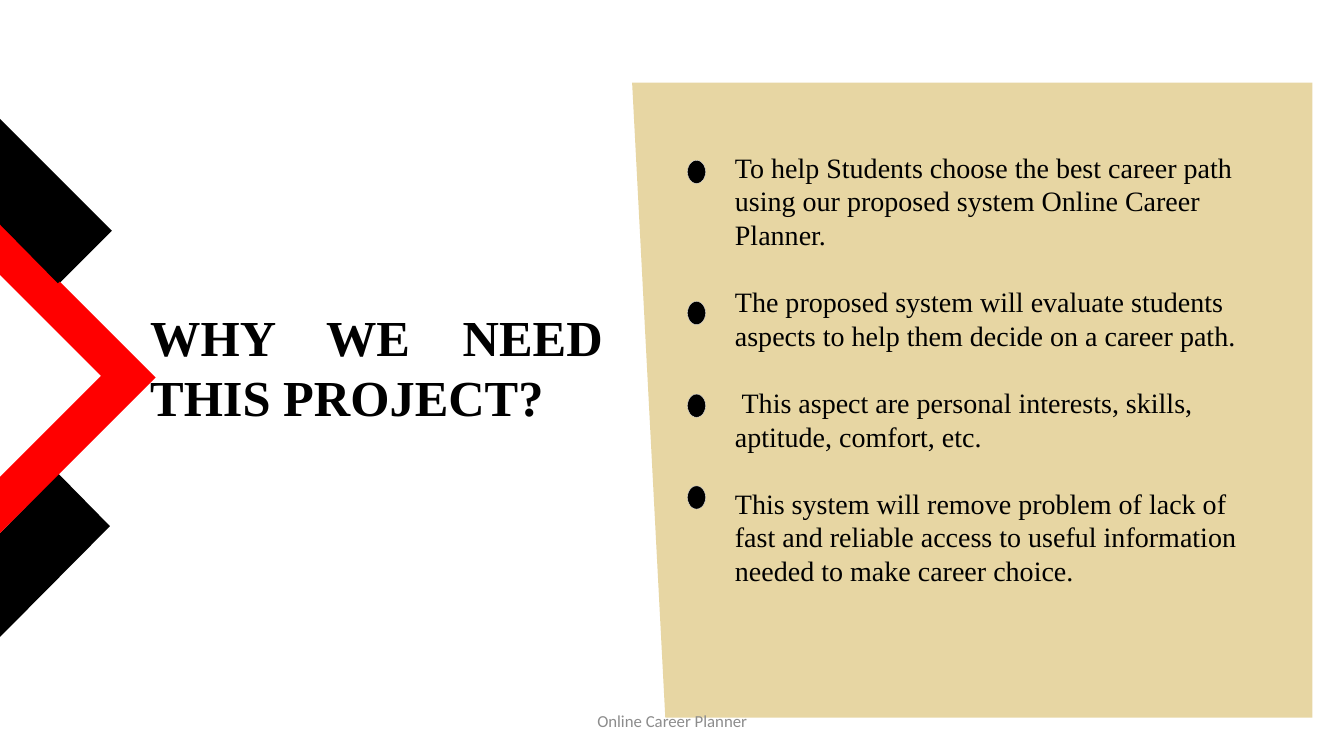
from dataclasses import dataclass

from lxml.etree import SubElement
from pptx import Presentation
from pptx.dml.color import RGBColor
from pptx.enum.shapes import MSO_SHAPE as Preset
from pptx.enum.text import MSO_ANCHOR as Anchor, MSO_AUTO_SIZE as AutoSize, PP_ALIGN as Align
from pptx.oxml.ns import qn
from pptx.util import Emu, Inches, Pt

WIDTH, HEIGHT = Inches(13.33), Inches(7.5)
SERIF = "Times New Roman"


@dataclass(frozen=True)
class Box:
    left: float
    top: float
    width: float
    height: float


@dataclass(frozen=True)
class Outline:
    points: tuple
    color: str
    opacity: int = 100


@dataclass(frozen=True)
class Reason:
    text: str
    marker_top: float
    indent: float = 0


UPPER_ARM = ((0, 15.73), (8.33, 30.53), (4.43, 37.47), (0, 29.47))
LOWER_ARM = ((4.35, 62.67), (8.18, 69.6), (-0.08, 84.4), (-0.08, 70.67))
PANEL = ((47.03, 10.93), (97.65, 10.93), (97.65, 94.93), (49.5, 94.93))
UPPER_ARM_FRONT = tuple((x - 0.12, y) for x, y in UPPER_ARM)

REASONS = (
    Reason("To help Students choose the best career path using our proposed "
           "system Online Career Planner.", 21.2),
    Reason("The proposed system will evaluate students aspects to help them "
           "decide on a career path.", 39.87),
    Reason("This aspect are personal interests, skills, aptitude, comfort, etc.", 52.13, 0.5),
    Reason("This system will remove problem of lack of fast and reliable access to "
           "useful information needed to make career choice.", 64.27),
)


def across(share: float) -> Emu:
    return Emu(round(WIDTH * share / 100))


def down(share: float) -> Emu:
    return Emu(round(HEIGHT * share / 100))


def frame(box: Box) -> tuple:
    return across(box.left), down(box.top), across(box.width), down(box.height)


def paint(target, color: str) -> None:
    target.solid()
    target.fore_color.rgb = RGBColor.from_string(color)


def draw_outline(slide, outline: Outline) -> None:
    corners = [(across(x), down(y)) for x, y in outline.points]
    builder = slide.shapes.build_freeform(*corners[0])
    builder.add_line_segments(corners[1:], close=True)
    piece = builder.convert_to_shape()
    piece.shadow.inherit = False
    paint(piece.fill, outline.color)
    piece.line.fill.background()
    if outline.opacity < 100:
        tint = piece.element.spPr.find(qn("a:solidFill"))[0]
        SubElement(tint, qn("a:alpha"), val=str(outline.opacity * 1000))


def draw_preset(slide, kind: Preset, box: Box, color: str, edge: str = ""):
    piece = slide.shapes.add_shape(kind, *frame(box))
    piece.shadow.inherit = False
    paint(piece.fill, color)
    if edge:
        paint(piece.line.fill, edge)
        piece.line.width = Pt(0.25)
    else:
        piece.line.fill.background()
    return piece


def prepare(holder, box: Box, anchor: Anchor = Anchor.TOP) -> None:
    holder.left, holder.top, holder.width, holder.height = frame(box)
    holder.text_frame.word_wrap = True
    holder.text_frame.auto_size = AutoSize.NONE
    holder.text_frame.vertical_anchor = anchor
    holder.element.getparent().append(holder.element)


def write(paragraph, text: str, *, size: float, font: str = SERIF, color: str = "000000",
          bold: bool = False, align: Align = Align.LEFT, leading: float = 0,
          before: float = 0, indent: float = 0) -> None:
    properties = paragraph._p.get_or_add_pPr()
    properties.set("marL", "0")
    properties.set("indent", str(across(indent)))
    SubElement(properties, qn("a:buNone"))
    paragraph.alignment = align
    paragraph.space_before = Pt(before)
    if leading:
        paragraph.line_spacing = Pt(leading)
    run = paragraph.add_run()
    run.text = text
    run.font.name = font
    run.font.size = Pt(size)
    run.font.bold = bold
    paint(run.font.fill, color)


def main() -> None:
    deck = Presentation()
    deck.slide_width, deck.slide_height = WIDTH, HEIGHT
    slide = deck.slides.add_slide(deck.slide_layouts[1])
    heading, reasons = slide.shapes.title, slide.placeholders[1]

    for arm in (LOWER_ARM, UPPER_ARM):
        draw_outline(slide, Outline(arm, "000000"))

    prepare(heading, Box(10.43, 39.87, 35.18, 17.47))
    write(heading.text_frame.paragraphs[0], "WHY WE NEED THIS PROJECT?",
          size=36, bold=True, align=Align.JUSTIFY, leading=43)

    draw_outline(slide, Outline(PANEL, "BF9000", 36))

    prepare(reasons, Box(53.93, 19.2, 39.9, 59.73))
    for number, reason in enumerate(REASONS):
        body = reasons.text_frame
        paragraph = body.add_paragraph() if number else body.paragraphs[0]
        write(paragraph, reason.text, size=20, leading=24,
              before=24 if number else 0, indent=reason.indent)

    chevron = draw_preset(slide, Preset.HALF_FRAME, Box(-8.25, 35.33, 16.43, 29.2), "FF0000")
    chevron.rotation = 135
    chevron.adjustments[0], chevron.adjustments[1] = 0.18, 0.17
    draw_outline(slide, Outline(UPPER_ARM_FRONT, "000000"))

    for reason in REASONS:
        draw_preset(slide, Preset.OVAL, Box(51.15, reason.marker_top, 1.35, 3.07),
                    "000000", "EAEAEA")

    footer_box = Box(33.15, 92.67, 33.75, 5.33)
    footer = slide.shapes.add_textbox(*frame(footer_box))
    prepare(footer, footer_box, Anchor.MIDDLE)
    write(footer.text_frame.paragraphs[0], "Online Career Planner", size=12,
          font="Calibri", color="8C8C8C", align=Align.CENTER)

    deck.save("out.pptx")


if __name__ == "__main__":
    main()
